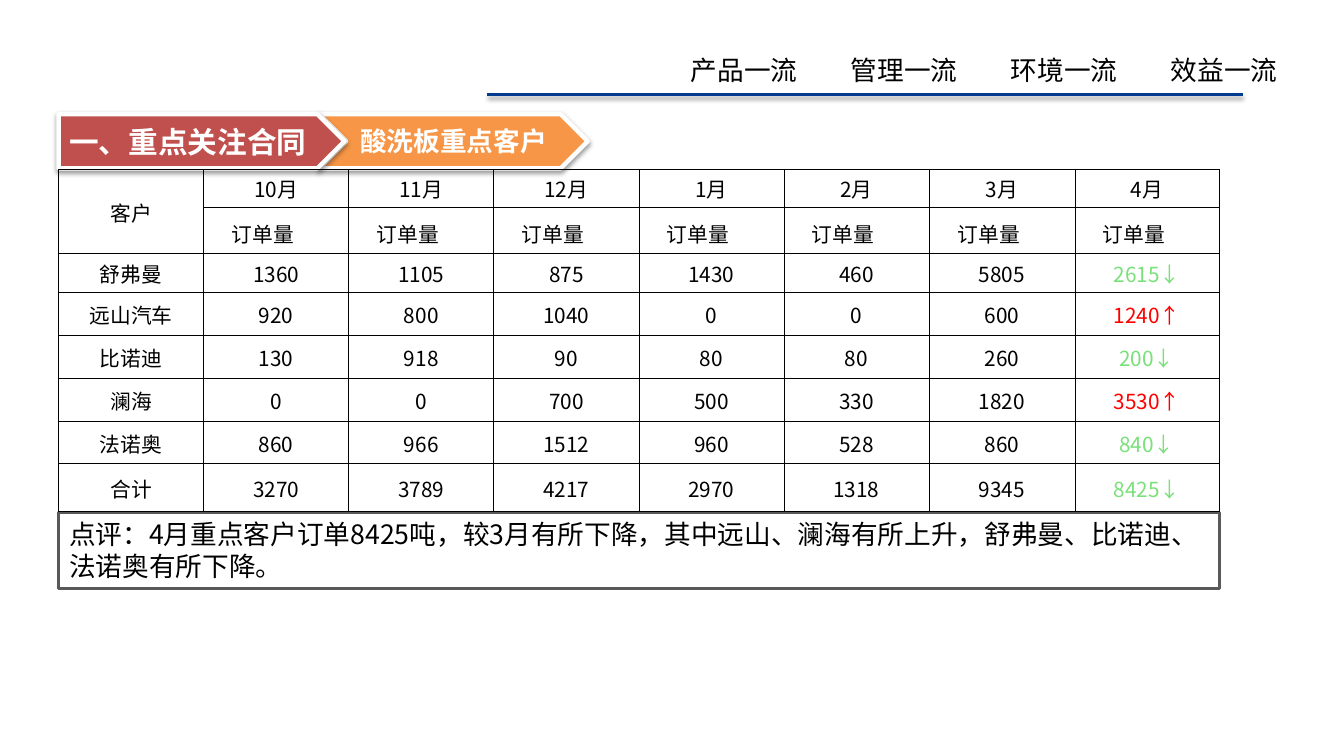
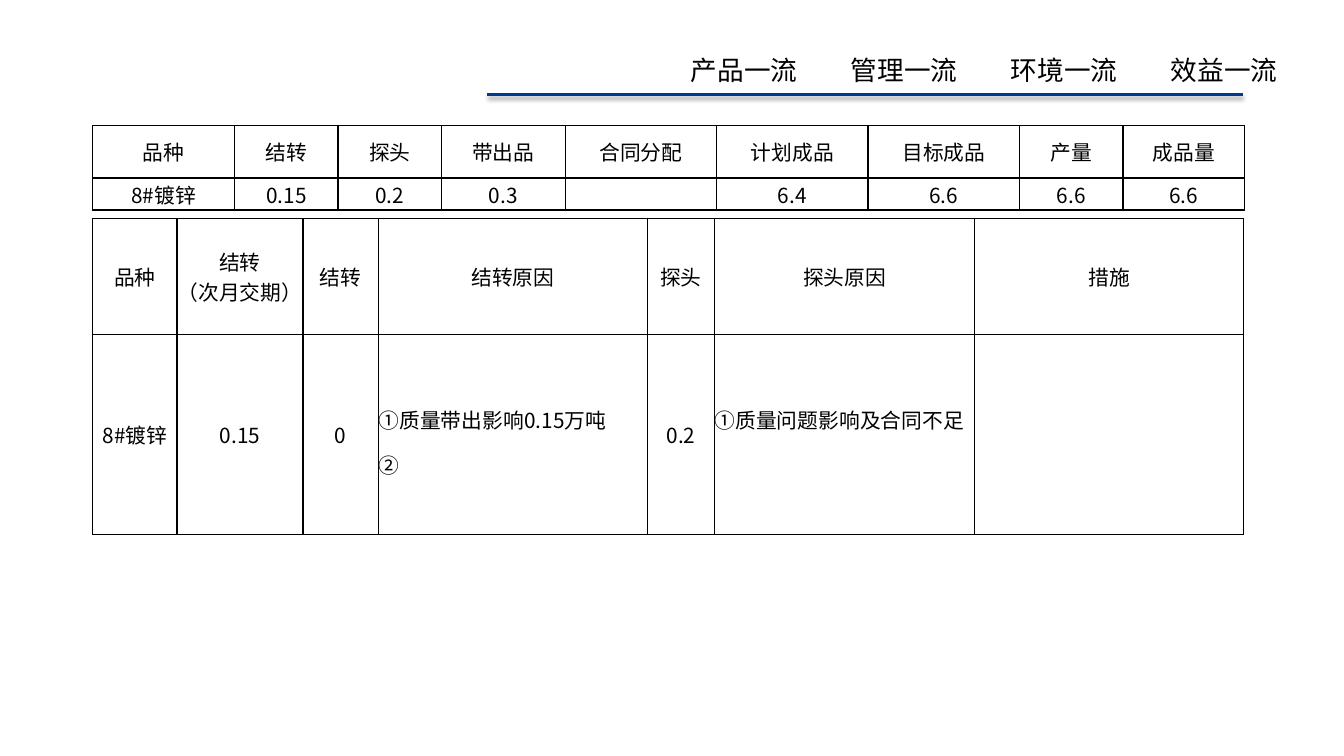
from dataclasses import dataclass

from lxml.etree import SubElement
from pptx import Presentation
from pptx.dml.color import RGBColor
from pptx.enum.shapes import MSO_CONNECTOR, MSO_SHAPE
from pptx.enum.text import MSO_ANCHOR, PP_ALIGN
from pptx.oxml.ns import qn
from pptx.util import Inches, Pt


@dataclass(frozen=True)
class Theme:
    font: str = "Noto Sans CJK SC"
    black: str = "000000"
    white: str = "FFFFFF"
    rule: str = "003B90"
    section: str = "C0504D"
    topic: str = "F79646"
    frame: str = "595959"
    rise: str = "FF0000"
    fall: str = "7AE07A"
    cell_size: int = 14
    body_size: int = 18
    section_size: int = 20


THEME = Theme()

SLOGANS = ["产品一流", "管理一流", "环境一流", "效益一流"]

MONTHS = ["10月", "11月", "12月", "1月", "2月", "3月", "4月"]
ORDERS = [
    ["客户", *MONTHS],
    ["", *["订单量"] * len(MONTHS)],
    ["舒弗曼", "1360", "1105", "875", "1430", "460", "5805", "2615↓"],
    ["远山汽车", "920", "800", "1040", "0", "0", "600", "1240↑"],
    ["比诺迪", "130", "918", "90", "80", "80", "260", "200↓"],
    ["澜海", "0", "0", "700", "500", "330", "1820", "3530↑"],
    ["法诺奥", "860", "966", "1512", "960", "528", "860", "840↓"],
    ["合计", "3270", "3789", "4217", "2970", "1318", "9345", "8425↓"],
]
REVIEW = (
    "点评：4月重点客户订单8425吨，较3月有所下降，其中远山、澜海有所上升，"
    "舒弗曼、比诺迪、法诺奥有所下降。"
)

OUTPUT = [
    ["品种", "结转", "探头", "带出品", "合同分配", "计划成品", "目标成品", "产量", "成品量"],
    ["8#镀锌", "0.15", "0.2", "0.3", "", "6.4", "6.6", "6.6", "6.6"],
]
CAUSES = [
    ["品种", "结转\v（次月交期）", "结转", "结转原因", "探头", "探头原因", "措施"],
    ["8#镀锌", "0.15", "0", "①质量带出影响0.15万吨\n②", "0.2", "①质量问题影响及合同不足", ""],
]


def write_text(frame, text, size, color=THEME.black, align=PP_ALIGN.LEFT, bold=False, spacing=None):
    frame.word_wrap = True
    frame.text = text
    for para in frame.paragraphs:
        para.alignment = align
        para.line_spacing = spacing
        para.font.size = Pt(size)
        para.font.bold = bold
        para.font.color.rgb = RGBColor.from_string(color)
        para.font.name = THEME.font
        properties = para._p.pPr.find(qn("a:defRPr"))
        SubElement(properties, qn("a:ea"), typeface=THEME.font)


def paint_line(line, color, width):
    line.color.rgb = RGBColor.from_string(color)
    line.width = Pt(width)


def add_shadow(shape):
    effects = SubElement(shape._element.spPr, qn("a:effectLst"))
    shadow = SubElement(
        effects, qn("a:outerShdw"), blurRad=str(Pt(3.1)), dist=str(Pt(1.6)),
        dir="5400000", algn="t", rotWithShape="0",
    )
    color = SubElement(shadow, qn("a:srgbClr"), val=THEME.black)
    SubElement(color, qn("a:alpha"), val="38000")


def add_header(page, left, top, width):
    rule_top = Inches(top + 0.43)
    rule = page.shapes.add_connector(
        MSO_CONNECTOR.STRAIGHT, Inches(left), rule_top, Inches(left + width), rule_top
    )
    paint_line(rule.line, THEME.rule, 2)
    add_shadow(rule)
    box = page.shapes.add_textbox(Inches(left + 1.81), Inches(top), Inches(5.77), Inches(0.4))
    para = box.text_frame.paragraphs[0]
    tabs = SubElement(para._p.get_or_add_pPr(), qn("a:tabLst"))
    for index in range(1, len(SLOGANS)):
        SubElement(tabs, qn("a:tab"), pos=str(Inches(1.17 * index)), algn="l")
    write_text(box.text_frame, "\t".join(SLOGANS), THEME.body_size)


def add_panel(page, kind, bounds, fill, outline, width):
    panel = page.shapes.add_shape(kind, *map(Inches, bounds))
    panel.fill.solid()
    panel.fill.fore_color.rgb = RGBColor.from_string(fill)
    paint_line(panel.line, outline, width)
    return panel


def add_banner(page, left, top):
    arrows = [
        (MSO_SHAPE.CHEVRON, 2.44, 2.52, THEME.topic, "酸洗板重点客户", THEME.body_size, PP_ALIGN.CENTER),
        (MSO_SHAPE.PENTAGON, 0, 2.68, THEME.section, "一、重点关注合同", THEME.section_size, PP_ALIGN.LEFT),
    ]
    for kind, offset, width, fill, text, size, align in arrows:
        bounds = (left + offset, top, width, 0.51)
        arrow = add_panel(page, kind, bounds, fill, THEME.white, 3)
        arrow.adjustments[0] = 0.5
        add_shadow(arrow)
        arrow.text_frame.vertical_anchor = MSO_ANCHOR.MIDDLE
        write_text(arrow.text_frame, text, size, THEME.white, align, bold=True)


def add_review(page, left, top, width, height):
    review = add_panel(
        page, MSO_SHAPE.RECTANGLE, (left, top, width, height), THEME.white, THEME.frame, 2
    )
    review.shadow.inherit = False
    review.text_frame.vertical_anchor = MSO_ANCHOR.TOP
    write_text(review.text_frame, REVIEW, THEME.body_size)


def style_cell(cell, border, inset):
    properties = cell._tc.get_or_add_tcPr()
    for side in ("lnL", "lnR", "lnT", "lnB"):
        line = SubElement(properties, qn(f"a:{side}"), w=str(Pt(border)))
        fill = SubElement(line, qn("a:solidFill"))
        SubElement(fill, qn("a:srgbClr"), val=THEME.black)
    cell.fill.background()
    cell.vertical_anchor = MSO_ANCHOR.MIDDLE
    cell.margin_left = cell.margin_right = cell.margin_top = Inches(inset)
    cell.margin_bottom = 0


def value_color(text):
    return {"↑": THEME.rise, "↓": THEME.fall}.get(text[-1:], THEME.black)


def add_grid(page, left, top, columns, heights, rows, border, inset=0):
    bounds = (left, top, sum(columns), sum(heights))
    table = page.shapes.add_table(len(rows), len(columns), *map(Inches, bounds)).table
    table.first_row = table.horz_banding = False
    for column, width in zip(table.columns, columns):
        column.width = Inches(width)
    for row, height, texts in zip(table.rows, heights, rows):
        row.height = Inches(height)
        for cell, text in zip(row.cells, texts):
            style_cell(cell, border, inset)
            listed = text.startswith("①")
            write_text(
                cell.text_frame, text, THEME.cell_size, value_color(text),
                PP_ALIGN.LEFT if listed else PP_ALIGN.CENTER,
                spacing=1.5 if listed else None,
            )
    return table


def build_orders(page):
    left = 0.55
    add_review(page, left, 4.81, 10.88, 0.71)
    add_banner(page, left, 1.07)
    table = add_grid(
        page, left, 1.59, [1.36] * 6 + [1.37, 1.35],
        [0.35, 0.44, 0.36, 0.41, 0.4, 0.4, 0.4, 0.45], ORDERS, 0.5, 0.01,
    )
    table.cell(0, 0).merge(table.cell(1, 0))
    for column in range(1, len(ORDERS[0])):
        table.cell(1, column).margin_right = Inches(0.26)
        table.cell(1, column).margin_top = Inches(0.06)


def build_output(page):
    left = 0.87
    add_grid(
        page, left, 1.18, [1.33, 0.97, 0.97, 1.16, 1.42, 1.42, 1.42, 0.97, 1.14],
        [0.49, 0.3], OUTPUT, 1,
    )
    causes = add_grid(
        page, left, 2.05, [0.79, 1.18, 0.71, 2.52, 0.63, 2.44, 2.52],
        [1.09, 1.87], CAUSES, 1,
    )
    causes.cell(1, 5).margin_bottom = Inches(0.42)


def main():
    deck = Presentation()
    deck.slide_width = Inches(12.6)
    deck.slide_height = Inches(7.09)
    for build in (build_orders, build_output):
        page = deck.slides.add_slide(deck.slide_layouts[6])
        add_header(page, 4.57, 0.46, 7.08)
        build(page)
    deck.save("out.pptx")


if __name__ == "__main__":
    main()
